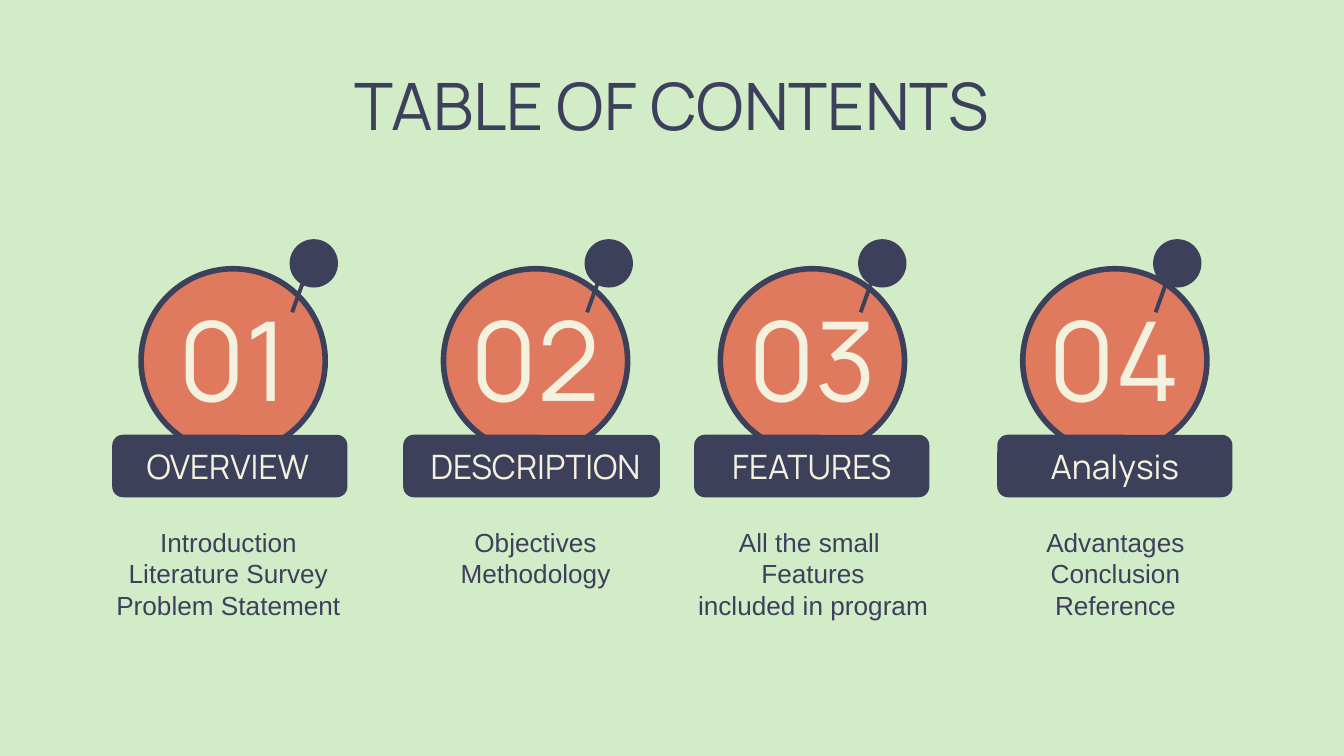
"""Build a table-of-contents slide with four pinned, numbered sections."""
from dataclasses import dataclass

from pptx import Presentation
from pptx import util as u
from pptx.dml.color import RGBColor
from pptx.enum import shapes, text

EMU_PER_PX = 4572
COLORS = {"mint": "D2ECC8", "navy": "3D405B", "coral": "E07A5F", "cream": "F4F1DE"}
FORMATS = {
    "title": {"name": "Manrope", "size": u.Pt(35)},
    "number": {"name": "Manrope", "size": u.Pt(59)},
    "label": {"name": "Manrope", "size": u.Pt(18)},
    "body": {"name": "Arial", "size": u.Pt(14)},
}
TOP = text.MSO_ANCHOR.TOP
MIDDLE = text.MSO_ANCHOR.MIDDLE
OVAL = shapes.MSO_SHAPE.OVAL


@dataclass(frozen=True)
class Box:
    left: int
    top: int
    width: int
    height: int

    def emu(self) -> tuple[int, ...]:
        """Return the box as left, top, width and height in EMU."""
        return tuple(px * EMU_PER_PX for px in (self.left, self.top, self.width, self.height))


@dataclass(frozen=True)
class Section:
    number: str
    label: str
    lines: tuple[str, ...]
    circle_left: int
    pin_left: int
    bar_left: int
    label_left: int
    body_left: int
    body_width: int
    bar_width: int = 350


SECTIONS = (
    Section("01", "OVERVIEW", ("Introduction", "Literature Survey", "Problem Statement"),
            210, 431, 167, 164, 149, 382),
    Section("02", "DESCRIPTION", ("Objectives", "Methodology"),
            660, 870, 600, 622, 627, 340, bar_width=382),
    Section("03", "FEATURES", ("All the small ", "Features", "included in program"),
            1072, 1277, 1033, 1033, 1009, 402),
    Section("04", "Analysis", ("Advantages", "Conclusion", "Reference"),
            1522, 1716, 1484, 1484, 1490, 340),
)


def rgb(color: str) -> RGBColor:
    """Look up a named colour."""
    return RGBColor.from_string(COLORS[color])


def add_figure(slide, kind, box: Box, fill: str, outline: str = "", rotation: float = 0):
    """Draw a filled preset shape with an optional outline."""
    shape = slide.shapes.add_shape(kind, *box.emu())
    shape.shadow.inherit = False
    shape.rotation = rotation
    shape.fill.solid()
    shape.fill.fore_color.rgb = rgb(fill)
    if outline:
        shape.line.color.rgb = rgb(outline)
        shape.line.width = u.Pt(3)
    else:
        shape.line.fill.background()
    return shape


def add_text(slide, box: Box, lines: tuple[str, ...], style: str, color: str, anchor=MIDDLE) -> None:
    """Write centred lines, one paragraph each, in a box without margins."""
    frame = slide.shapes.add_textbox(*box.emu()).text_frame
    settings = {"word_wrap": True, "vertical_anchor": anchor, "margin_left": 0,
                "margin_top": 0, "margin_right": 0, "margin_bottom": 0}
    for name, value in settings.items():
        setattr(frame, name, value)
    for index, line in enumerate(lines):
        paragraph = frame.add_paragraph() if index else frame.paragraphs[0]
        paragraph.alignment = text.PP_ALIGN.CENTER
        run = paragraph.add_run()
        run.text = line
        run.font.color.rgb = rgb(color)
        for name, value in FORMATS[style].items():
            setattr(run.font, name, value)


def add_section(slide, section: Section) -> None:
    """Draw one numbered circle with its pin, label bar and body text."""
    add_figure(slide, OVAL, Box(section.circle_left, 400, 274, 274), "coral", "navy", 8.7)
    add_text(slide, Box(section.circle_left - 33, 383, 340, 298), (section.number,), "number", "cream")
    add_figure(slide, shapes.MSO_SHAPE.RECTANGLE, Box(section.pin_left + 19, 360, 6, 108), "navy", rotation=19.8)
    add_figure(slide, OVAL, Box(section.pin_left, 356, 72, 72), "navy")
    bar = add_figure(slide, shapes.MSO_SHAPE.ROUNDED_RECTANGLE,
                     Box(section.bar_left, 647, section.bar_width, 93), "navy")
    bar.adjustments[0] = 0.17
    add_text(slide, Box(section.label_left, 647, 350, 92), (section.label,), "label", "cream")
    body = Box(section.body_left, 783, section.body_width, 184 if len(section.lines) > 2 else 126)
    add_text(slide, body, section.lines, "body", "navy", TOP)


def main() -> None:
    """Create and save the presentation."""
    presentation = Presentation()
    presentation.slide_width = u.Emu(2000 * EMU_PER_PX)
    presentation.slide_height = u.Emu(1125 * EMU_PER_PX)
    slide = presentation.slides.add_slide(presentation.slide_layouts[6])
    slide.background.fill.solid()
    slide.background.fill.fore_color.rgb = rgb("mint")
    add_text(slide, Box(156, 97, 1688, 126), ("TABLE OF CONTENTS",), "title", "navy", TOP)
    for section in SECTIONS:
        add_section(slide, section)
    presentation.save("out.pptx")


if __name__ == "__main__":
    main()
